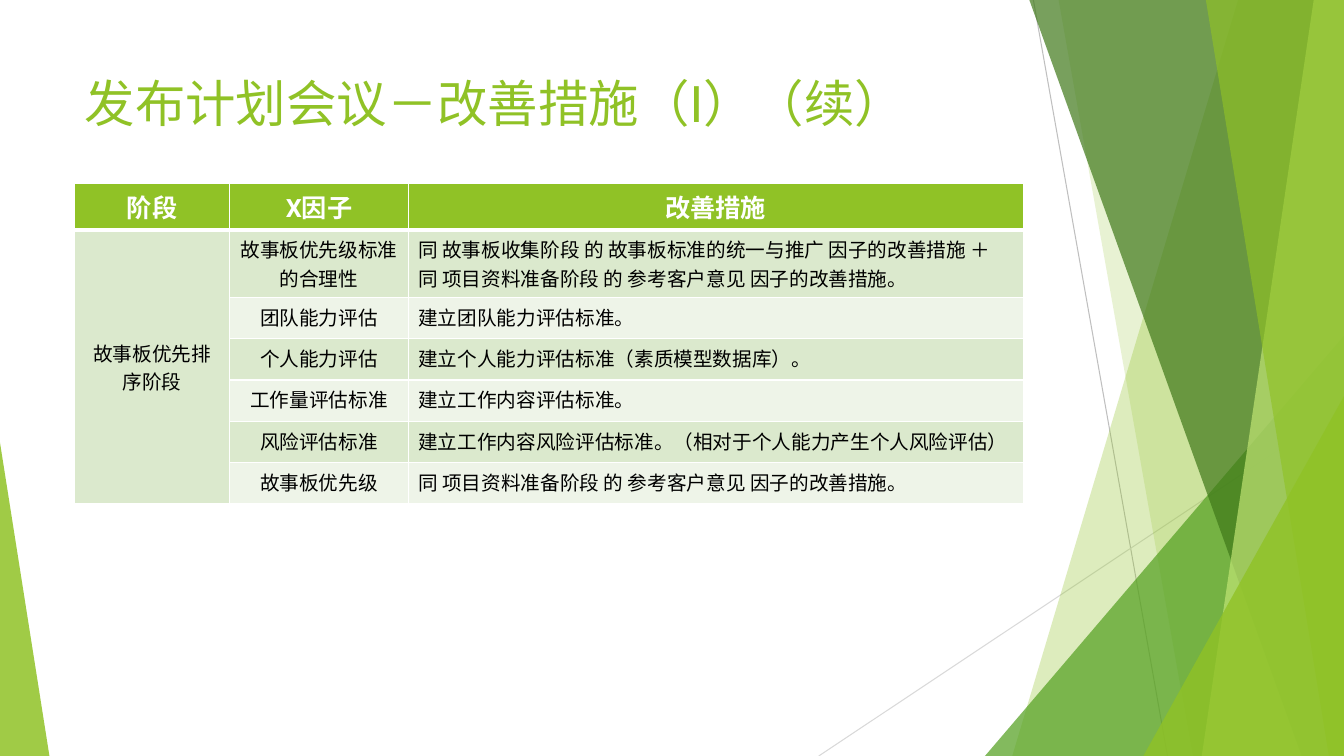
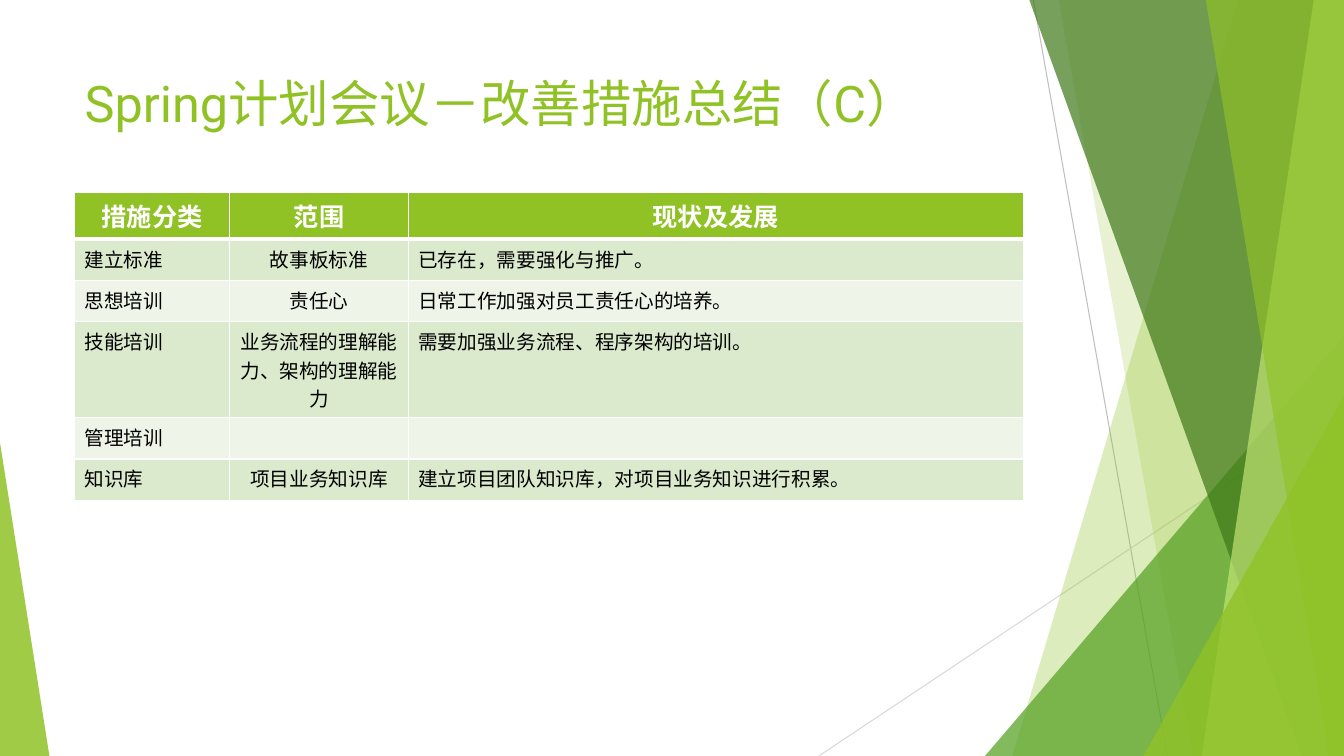
"""Build two slides of improvement measures, each a titled table on a green faceted backdrop."""
from lxml.etree import SubElement
from pptx import Presentation
from pptx.dml.color import RGBColor
from pptx.enum.lang import MSO_LANGUAGE_ID as Language
from pptx.enum.shapes import MSO_CONNECTOR as Connector, MSO_SHAPE as Shape
from pptx.enum.text import MSO_ANCHOR as Anchor, MSO_AUTO_SIZE as AutoSize, PP_ALIGN as Align
from pptx.oxml import parse_xml
from pptx.oxml.ns import nsdecls, qn
from pptx.util import Inches, Pt

FONT = "Roboto"
GREEN, WHITE, BLACK = "90C226", "FFFFFF", "000000"
STRIPES = ("EEF4E8", "DBE9CD")

deck = Presentation()
deck.slide_width, deck.slide_height = Inches(13.33), Inches(7.5)
COLUMN, ROW = deck.slide_width / 100, deck.slide_height / 100
LEFT = round(5.55 * COLUMN)
TABLE_COLUMNS = [round(share * COLUMN) for share in (11.55, 13.28, 45.76)]
ROW_HEIGHT = round(5.47 * ROW)

LINES = [(76.89, 0, 86.87, 100, "BFBFBF"), (100, 53.73, 60.92, 100, "D9D9D9")]
FACETS = [
    ("band", (92.12, 75.32), GREEN, 30),
    ("band", (78.77, 88.75), GREEN, 20),
    ("triangle", (73.29, 44.4, 100, 1), "54A021", 72),
    ("band", (76.59, 96.85), "3F7819", 70),
    ("band", (97.75, 89.42), "C0E474", 70),
    ("band", (89.72, 98.87), GREEN, 65),
    ("triangle", (85.07, 52.4, 100, 1), GREEN, 80),
    ("triangle", (0, 58.53, 3.68, 0), GREEN, 85),
]
PAGES = [
    ("发布计划会议－改善措施（I）（续）", 24.27, Align.CENTER, [
        ("阶段", "X因子", "改善措施"),
        ("故事板优先排序阶段", "故事板优先级标准的合理性",
         "同 故事板收集阶段 的 故事板标准的统一与推广 因子的改善措施 ＋ "
         "同 项目资料准备阶段 的 参考客户意见 因子的改善措施。"),
        ("", "团队能力评估", "建立团队能力评估标准。"),
        ("", "个人能力评估", "建立个人能力评估标准（素质模型数据库）。"),
        ("", "工作量评估标准", "建立工作内容评估标准。"),
        ("", "风险评估标准", "建立工作内容风险评估标准。（相对于个人能力产生个人风险评估）"),
        ("", "故事板优先级", "同 项目资料准备阶段 的 参考客户意见 因子的改善措施。"),
    ]),
    ("Spring计划会议－改善措施总结（C）", 25.47, Align.LEFT, [
        ("措施分类", "范围", "现状及发展"),
        ("建立标准", "故事板标准", "已存在，需要强化与推广。"),
        ("思想培训", "责任心", "日常工作加强对员工责任心的培养。"),
        ("技能培训", "业务流程的理解能力、架构的理解能力", "需要加强业务流程、程序架构的培训。"),
        ("管理培训", "", ""),
        ("知识库", "项目业务知识库", "建立项目团队知识库，对项目业务知识进行积累。"),
    ]),
]


def color(hex_text):
    return RGBColor.from_string(hex_text)


def add_span(para, text, size, hex_text, bold=False):
    span = para.add_run()
    span.text = text
    span.font.name, span.font.size, span.font.bold = FONT, Pt(size), bold
    span.font.color.rgb = color(hex_text)
    span.font.language_id = Language.SIMPLIFIED_CHINESE


layout = deck.slide_layouts.get_by_name("Title Only")
pages = [deck.slides.add_slide(layout) for _ in PAGES]
shapes = pages[0].shapes
backdrop = []

for x1, y1, x2, y2, hex_text in LINES:
    line = shapes.add_connector(Connector.STRAIGHT, round(x1 * COLUMN), round(y1 * ROW),
                                round(x2 * COLUMN), round(y2 * ROW))
    line.line.color.rgb, line.line.width = color(hex_text), Pt(0.75)
    SubElement(line.element.spPr, qn("a:effectLst"))
    backdrop.append(line)

for kind, place, hex_text, opacity in FACETS:
    if kind == "band":
        top_x, bottom_x = place
        corners = [(round(x * COLUMN), round(y * ROW))
                   for x, y in ((top_x, 0), (100, 0), (100, 100), (bottom_x, 100))]
        outline = shapes.build_freeform(*corners[0])
        outline.add_line_segments(corners[1:], close=True)
        facet = outline.convert_to_shape()
    else:
        left, top, right, peak = place
        facet = shapes.add_shape(Shape.ISOSCELES_TRIANGLE, round(left * COLUMN), round(top * ROW),
                                 round((right - left) * COLUMN), round((100 - top) * ROW))
        facet.adjustments[0] = peak
    facet.shadow.inherit = False
    facet.line.fill.background()
    facet.fill.solid()
    facet.fill.fore_color.rgb = color(hex_text)
    tint = facet.element.spPr.find(qn("a:solidFill"))[0]
    SubElement(tint, qn("a:alpha")).set("val", str(opacity * 1000))
    backdrop.append(facet)

for position, item in enumerate(backdrop, start=2):
    layout.shapes.element.insert(position, item.element)

heading = layout.placeholders[0]
heading.left, heading.top = LEFT, round(8.93 * ROW)
heading.width, heading.height = sum(TABLE_COLUMNS), round(19.2 * ROW)

for page, (title, top, first_align, rows) in zip(pages, PAGES):
    frame = page.shapes.title.text_frame
    frame.vertical_anchor, frame.auto_size = Anchor.TOP, AutoSize.NONE
    frame.paragraphs[0].alignment = Align.LEFT
    add_span(frame.paragraphs[0], title, 36, GREEN)

    table = page.shapes.add_table(len(rows), len(TABLE_COLUMNS), LEFT, round(top * ROW),
                                  sum(TABLE_COLUMNS), ROW_HEIGHT * len(rows)).table
    table.horz_banding = False
    for column, width in zip(table.columns, TABLE_COLUMNS):
        column.width = width
    aligns = (first_align, Align.CENTER, Align.LEFT)
    for row_index, texts in enumerate(rows):
        table.rows[row_index].height = ROW_HEIGHT
        is_header = row_index == 0
        for column_index, text in enumerate(texts):
            cell = table.cell(row_index, column_index)
            heavy_side = {0: "B", 1: "T"}.get(row_index)
            for side in "LRTB":
                width = Pt(3 if side == heavy_side else 1)
                cell._tc.get_or_add_tcPr().append(parse_xml(
                    f'<a:ln{side} {nsdecls("a")} w="{width}"><a:solidFill>'
                    f'<a:srgbClr val="{WHITE}"/></a:solidFill></a:ln{side}>'))
            cell.fill.solid()
            cell.fill.fore_color.rgb = color(GREEN if is_header else STRIPES[row_index % 2])
            para = cell.text_frame.paragraphs[0]
            para.alignment = Align.CENTER if is_header else aligns[column_index]
            if text:
                add_span(para, text, 18 if is_header else 14, WHITE if is_header else BLACK, is_header)

    if first_align == Align.CENTER:
        stage = table.cell(1, 0)
        stage.merge(table.cell(len(rows) - 1, 0))
        stage.vertical_anchor = Anchor.MIDDLE

deck.save("out.pptx")
